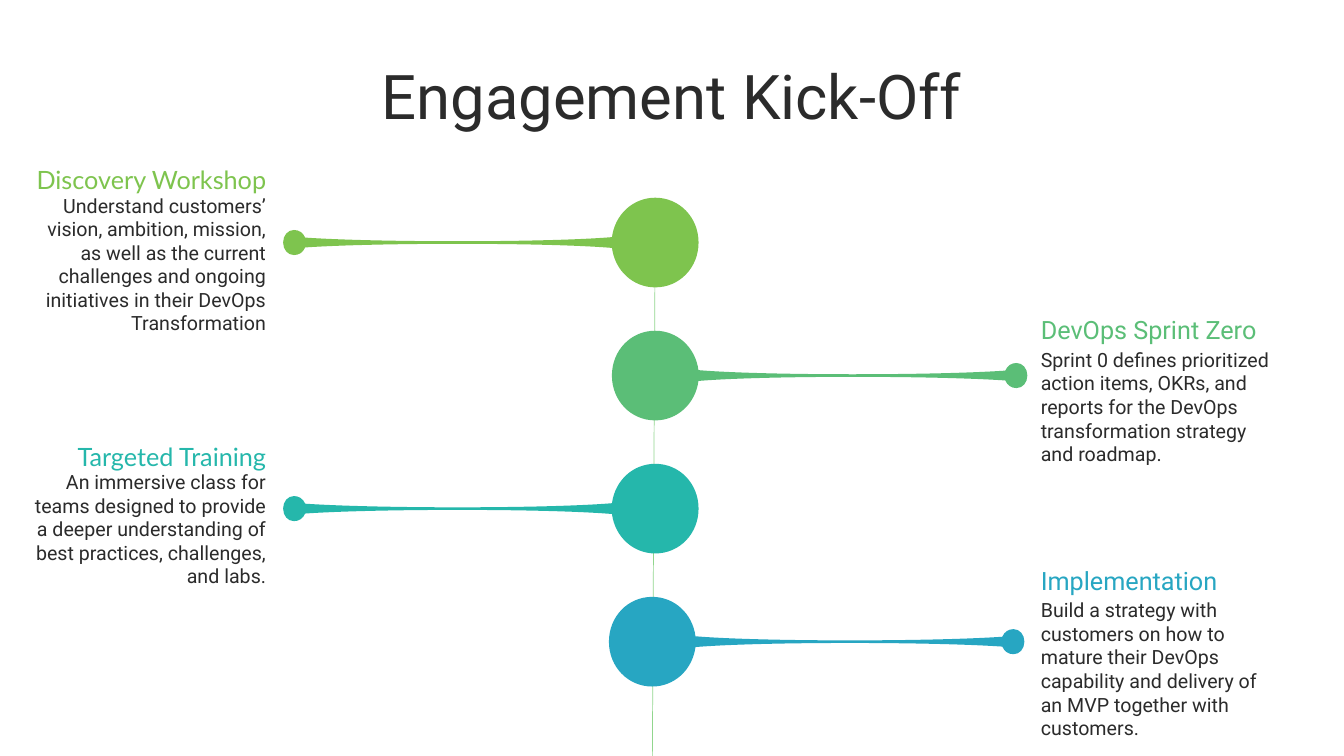
from pptx import Presentation
from pptx.dml.color import RGBColor
from pptx.enum.shapes import MSO_CONNECTOR
from pptx.enum.text import MSO_ANCHOR, PP_ALIGN
from pptx.oxml.ns import qn
from pptx.util import Inches, Pt
from lxml import etree

LEFT, RIGHT, CENTER = PP_ALIGN.LEFT, PP_ALIGN.RIGHT, PP_ALIGN.CENTER
TOP, BOTTOM = MSO_ANCHOR.TOP, MSO_ANCHOR.BOTTOM
STRAIGHT = MSO_CONNECTOR.STRAIGHT

WIDE, HIGH = Inches(13.33), Inches(7.5)
COLORS = {"ink": "2B2B2B", "spine": "24AE1D", "lime": "7EC44E",
          "green": "5BBE77", "teal": "25B7AB", "blue": "27A6C2"}

# Hub radii, first hub height and hub spacing, in percent of the slide
HUB_W, HUB_H = 3.22, 5.93
HUB_TOP, HUB_STEP = 32.08, 17.6

# Upper half of a left-pointing pin in hub radii: a start point, then
# three points for each Bezier curve
HALF = [
    (1, 0),
    (1, -0.56), (0.56, -1), (0, -1),
    (-0.51, -1), (-0.93, -0.63), (-1, -0.12),
    (-2.5, 0), (-6.4, 0), (-8.09, -0.11),
    (-8.14, -0.22), (-8.23, -0.28), (-8.35, -0.28),
    (-8.49, -0.28), (-8.6, -0.16), (-8.6, 0),
]
PIN = HALF + [(x, -y) for x, y in HALF[-2::-1]]

# Side, colour, heading font, heading top, hub centre, heading, body
STAGES = [
    (LEFT, "lime", "Lato", 20.17, 48.76, "Discovery Workshop",
     "Understand customers’ vision, ambition, mission, as well as the current "
     "challenges and ongoing initiatives in their DevOps Transformation"),
    (RIGHT, "green", "Roboto", 40.04, 48.75, "DevOps Sprint Zero",
     "Sprint 0 defines prioritized action items, OKRs, and reports for the "
     "DevOps transformation strategy and roadmap."),
    (LEFT, "teal", "Lato", 56.76, 48.76, "Targeted Training",
     "An immersive class for teams designed to provide a deeper understanding "
     "of best practices, challenges, and labs."),
    (RIGHT, "blue", "Roboto", 73.17, 48.53, "Implementation",
     "Build a strategy with customers on how to mature their DevOps capability "
     "and delivery of an MVP together with customers."),
]


def across(share):
    return round(WIDE * share / 100)


def down(share):
    return round(HIGH * share / 100)


def paint(name):
    return RGBColor.from_string(COLORS[name])


def add_text(slide, box, words, font, size, color, align,
             lead=None, before=None, anchor=TOP, inset=True):
    x, y, w, h = box
    frame = slide.shapes.add_textbox(
        across(x), down(y), across(w), down(h)).text_frame
    frame.word_wrap = True
    frame.vertical_anchor = anchor
    if not inset:
        frame.margin_left = frame.margin_right = 0
        frame.margin_top = frame.margin_bottom = 0
    para = frame.paragraphs[0]
    para.alignment = align
    para.line_spacing = lead
    para.space_before = before
    run = para.add_run()
    run.text = words
    run.font.name = font
    run.font.size = Pt(size)
    run.font.color.rgb = paint(color)


def add_spine(slide):
    line = slide.shapes.add_connector(
        STRAIGHT, across(48.76), down(27.07), across(48.54), down(100.4))
    line.line.width = Pt(0.5)
    line.line.color.rgb = paint("spine")
    # Half-transparent stroke, no shadow
    props = line._element.spPr
    tint = props.find(".//" + qn("a:srgbClr"))
    etree.SubElement(tint, qn("a:alpha"), val="50000")
    etree.SubElement(props, qn("a:effectLst"))


def bend(shape):
    """Turn each three line segments of a freeform into one Bezier curve."""
    lines = list(shape._element.iter(qn("a:lnTo")))
    for first, second, third in zip(lines[::3], lines[1::3], lines[2::3]):
        curve = etree.Element(qn("a:cubicBezTo"))
        first.addprevious(curve)
        for line in (first, second, third):
            curve.append(line[0])
            line.getparent().remove(line)


def add_pin(slide, side, color, mid, row):
    sign = 1 if side == LEFT else -1
    points = [(across(mid + sign * x * HUB_W), down(row + sign * y * HUB_H))
              for x, y in PIN]
    form = slide.shapes.build_freeform(*points[0])
    form.add_line_segments(points[1:], close=True)
    pin = form.convert_to_shape()
    bend(pin)
    pin.shadow.inherit = False
    pin.fill.solid()
    pin.fill.fore_color.rgb = paint(color)
    pin.line.fill.background()


def add_label(slide, side, color, font, top, head, body):
    # Left labels end at a shared right edge; right ones share a left edge
    if side == LEFT:
        head_x, body_x, drop, align = -0.38, 2.4, 5.43, RIGHT
    else:
        head_x, body_x, drop, align = 77.44, 77.44, 5.97, LEFT
    add_text(slide, (head_x, top, 20.18, 5.47), head, font, 18, color,
             align, lead=1.4, before=Pt(3.6), inset=False)
    add_text(slide, (body_x, top + drop, 17.4, 11.07), body, "Roboto", 14,
             "ink", align, inset=False)


def main():
    deck = Presentation()
    deck.slide_width, deck.slide_height = WIDE, HIGH
    slide = deck.slides.add_slide(deck.slide_layouts[6])

    # Spine behind the pins
    add_spine(slide)

    # Stages, alternating sides
    for i, (side, color, font, top, mid, head, body) in enumerate(STAGES):
        add_label(slide, side, color, font, top, head, body)
        add_pin(slide, side, color, mid, HUB_TOP + i * HUB_STEP)

    # Title
    add_text(slide, (6.86, 5.33, 86.27, 12.93), "Engagement Kick-Off",
             "Roboto", 44, "ink", CENTER, lead=0.9, anchor=BOTTOM)

    deck.save("out.pptx")


if __name__ == "__main__":
    main()
